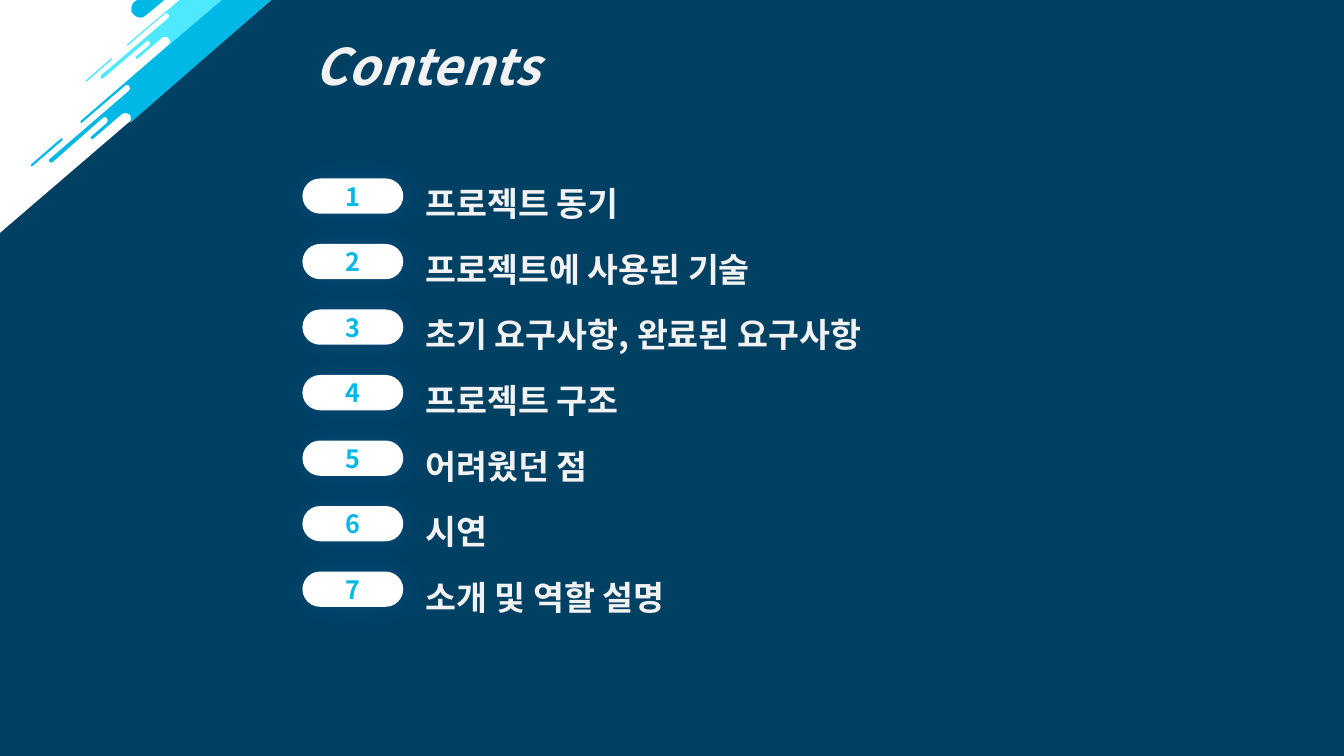
import pptx
import pptx.util
import pptx.dml.color
import pptx.enum.shapes
import pptx.enum.text
import pptx.oxml
import pptx.oxml.ns

Inches = pptx.util.Inches
SHAPES = pptx.enum.shapes.MSO_SHAPE
ALIGN = pptx.enum.text.PP_ALIGN
ANCHOR = pptx.enum.text.MSO_ANCHOR
FIT = pptx.enum.text.MSO_AUTO_SIZE

FONT = "Noto Sans CJK KR"
COLORS = {
    "navy": "004063",
    "white": "FFFFFF",
    "pale": "F2F2F2",
    "cyan": "00B8E6",
    "aqua": "4EE9FF",
    "glow": "1A73DE",
}

# Each topic with the width of its label
TOPICS = [
    ("프로젝트 동기", 3.88),
    ("프로젝트에 사용된 기술", 3.88),
    ("초기 요구사항, 완료된 요구사항", 6.48),
    ("프로젝트 구조", 3.88),
    ("어려웠던 점", 3.88),
    ("시연", 3.88),
    ("소개 및 역할 설명", 3.88),
]
TOP, PITCH = 1.77, 0.65

# Outlines in inches: a pair is a corner, six numbers are a Bezier curve
CYAN_BAND = [
    (2.19, 0), (2.69, 0), (1.29, 1.22), (1.3, 1.19, 1.3, 1.16, 1.29, 1.14),
    (1.26, 1.12, 1.23, 1.11, 1.2, 1.14), (0.92, 1.38),
    (0.91, 1.38, 0.91, 1.38, 0.9, 1.37), (0.9, 1.37, 0.9, 1.35, 0.91, 1.35),
    (1.06, 1.22), (1.07, 1.2, 1.07, 1.19, 1.06, 1.17),
    (1.05, 1.16, 1.03, 1.16, 1.02, 1.17), (0.52, 1.61), (0.5, 1.61),
    (0.5, 1.61, 0.49, 1.61, 0.49, 1.6), (0.48, 1.6, 0.49, 1.58, 0.49, 1.58),
    (1.28, 0.9), (1.29, 0.89, 1.29, 0.87, 1.28, 0.85),
    (1.27, 0.84, 1.25, 0.84, 1.24, 0.85), (0.81, 1.22), (0.8, 1.22), (0.8, 1.2),
]
CYAN_DASH = [(0.61, 1.37), (0.62, 1.38), (0.62, 1.39), (0.32, 1.65),
             (0.31, 1.65), (0.31, 1.63)]
AQUA_BAND = [
    (1.78, 0), (2.2, 0), (1.67, 0.45), (1.69, 0.42, 1.69, 0.4, 1.67, 0.38),
    (1.66, 0.36, 1.62, 0.36, 1.6, 0.38), (1.37, 0.58),
    (1.36, 0.59, 1.35, 0.58, 1.35, 0.58), (1.34, 0.57, 1.35, 0.56, 1.35, 0.56),
    (1.48, 0.45), (1.49, 0.44, 1.49, 0.42, 1.48, 0.41),
    (1.47, 0.4, 1.46, 0.4, 1.45, 0.41), (1.02, 0.78),
    (1.01, 0.78, 1.01, 0.78, 1, 0.78), (1, 0.77, 1, 0.76, 1, 0.75),
    (1.67, 0.18), (1.68, 0.17, 1.68, 0.15, 1.67, 0.14),
    (1.66, 0.13, 1.64, 0.13, 1.63, 0.14), (1.27, 0.45), (1.26, 0.45), (1.26, 0.44),
]
AQUA_DASH = [(1.11, 0.58), (1.11, 0.59), (0.86, 0.81), (0.85, 0.81),
             (0.85, 0.8), (1.1, 0.58)]
CYAN_TIP = [(1.36, 0), (1.63, 0), (1.45, 0.15), (1.41, 0.19, 1.36, 0.18, 1.32, 0.14),
            (1.29, 0.11, 1.3, 0.05, 1.33, 0.02)]


def tint(name):
    """Return a named colour."""
    return pptx.dml.color.RGBColor.from_string(COLORS[name])


def paint(shape, color):
    """Give a shape a plain fill without line or shadow."""
    shape.shadow.inherit = False
    shape.fill.solid()
    shape.fill.fore_color.rgb = tint(color)
    shape.line.fill.background()


def write(shape, text, size, color, italic=None):
    """Set bold text of one style and return its paragraph."""
    shape.text_frame.text = text
    para = shape.text_frame.paragraphs[0]
    font = para.runs[0].font
    font.name, font.size = FONT, pptx.util.Pt(size)
    font.bold, font.italic = True, italic
    font.color.rgb = tint(color)
    east = pptx.oxml.parse_xml(
        f'<a:ea {pptx.oxml.ns.nsdecls("a")} typeface="{FONT}"/>')
    font._element.find(pptx.oxml.ns.qn("a:latin")).addnext(east)
    return para


def place(shape, left, top, width, height):
    """Move and size a shape in inches."""
    shape.left, shape.top = Inches(left), Inches(top)
    shape.width, shape.height = Inches(width), Inches(height)


def trace(outline, steps=5):
    """Turn corners and curves into a list of EMU points."""
    points = []
    for part in outline:
        if len(part) == 2:
            points.append(part)
            continue
        knots = [points[-1], part[:2], part[2:4], part[4:]]
        for step in range(1, steps + 1):
            t = step / steps
            loads = [(1 - t) ** 3, 3 * t * (1 - t) ** 2, 3 * t * t * (1 - t), t ** 3]
            points.append(tuple(sum(w * k[axis] for w, k in zip(loads, knots))
                                for axis in (0, 1)))
    return [(Inches(x), Inches(y)) for x, y in points]


def add_streak(slide, color, *outlines):
    """Draw closed outlines as one freeform."""
    first, *others = [trace(outline) for outline in outlines]
    pen = slide.shapes.build_freeform(*first[0], scale=1.0)
    pen.add_line_segments(first[1:], close=True)
    for points in others:
        pen.move_to(*points[0])
        pen.add_line_segments(points[1:], close=True)
    paint(pen.convert_to_shape(), color)


def add_corner(slide):
    """Draw the striped corner at the top left."""
    corner = slide.shapes.add_shape(
        SHAPES.RIGHT_TRIANGLE, 0, 0, Inches(2.69), Inches(2.31))
    corner._element.spPr.xfrm.set("flipV", "1")
    paint(corner, "white")
    add_streak(slide, "cyan", CYAN_BAND, CYAN_DASH)
    add_streak(slide, "aqua", AQUA_BAND, AQUA_DASH)
    add_streak(slide, "cyan", CYAN_TIP)


def add_title(slide, text):
    """Fill and format the title placeholder."""
    title = slide.shapes.title
    place(title, 3.02, 0, 6.67, 0.89)
    para = write(title, text, 36, "pale", italic=True)
    para.alignment, para.line_spacing = ALIGN.LEFT, 1.5
    title.text_frame.vertical_anchor = ANCHOR.TOP
    title.text_frame.auto_size = FIT.SHAPE_TO_FIT_TEXT


def add_pill(slide, top, number):
    """Draw a numbered pill with a soft glow."""
    pill = slide.shapes.add_shape(
        SHAPES.ROUNDED_RECTANGLE, Inches(3), Inches(top), Inches(1), Inches(0.35))
    pill.adjustments[0] = 0.5
    paint(pill, "white")
    glow = pptx.oxml.parse_xml(
        f'<a:outerShdw {pptx.oxml.ns.nsdecls("a")} blurRad="{pptx.util.Pt(23)}" '
        f'dist="{pptx.util.Pt(3)}" dir="0" algn="ctr" rotWithShape="0">'
        f'<a:srgbClr val="{COLORS["glow"]}"><a:alpha val="17000"/></a:srgbClr>'
        '</a:outerShdw>')
    pill._element.spPr.find(pptx.oxml.ns.qn("a:effectLst")).append(glow)
    write(pill, str(number), 18, "cyan").alignment = ALIGN.CENTER
    pill.text_frame.vertical_anchor = ANCHOR.MIDDLE


def add_label(slide, top, text, width):
    """Add the text of a topic."""
    label = slide.shapes.add_textbox(
        Inches(4.12), Inches(top), Inches(width), Inches(0.63))
    label.text_frame.word_wrap = True
    label.text_frame.auto_size = FIT.SHAPE_TO_FIT_TEXT
    write(label, text, 24, "pale").line_spacing = 1.5


def main():
    """Build the contents slide."""
    deck = pptx.Presentation()
    deck.slide_width, deck.slide_height = Inches(13.33), Inches(7.5)
    slide = deck.slides.add_slide(deck.slide_layouts[5])
    slide.background.fill.solid()
    slide.background.fill.fore_color.rgb = tint("navy")
    add_corner(slide)
    add_title(slide, "Contents")
    for row, (text, width) in enumerate(TOPICS):
        top = TOP + row * PITCH
        add_pill(slide, top, row + 1)
        add_label(slide, top - 0.2, text, width)
    deck.save("out.pptx")


main()
